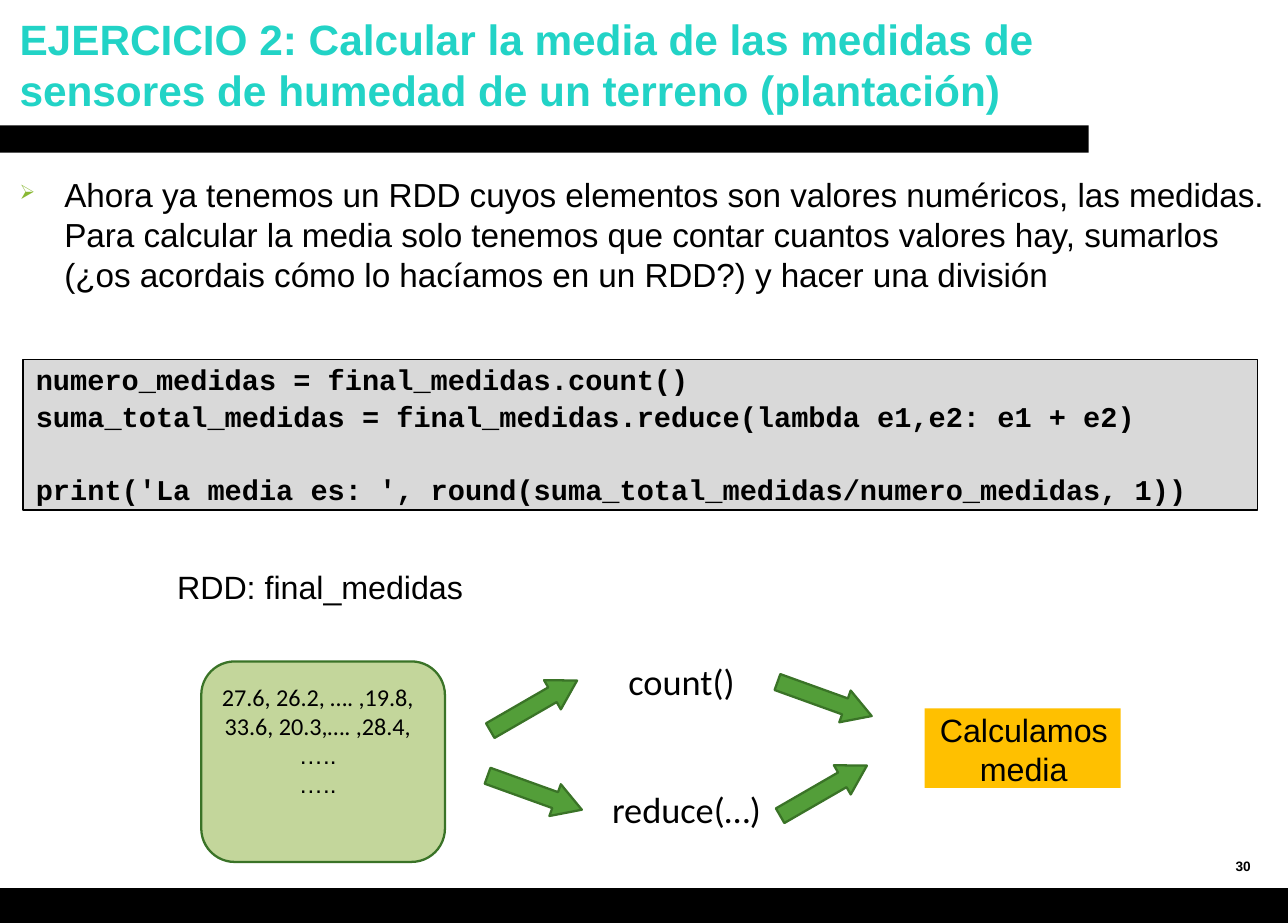
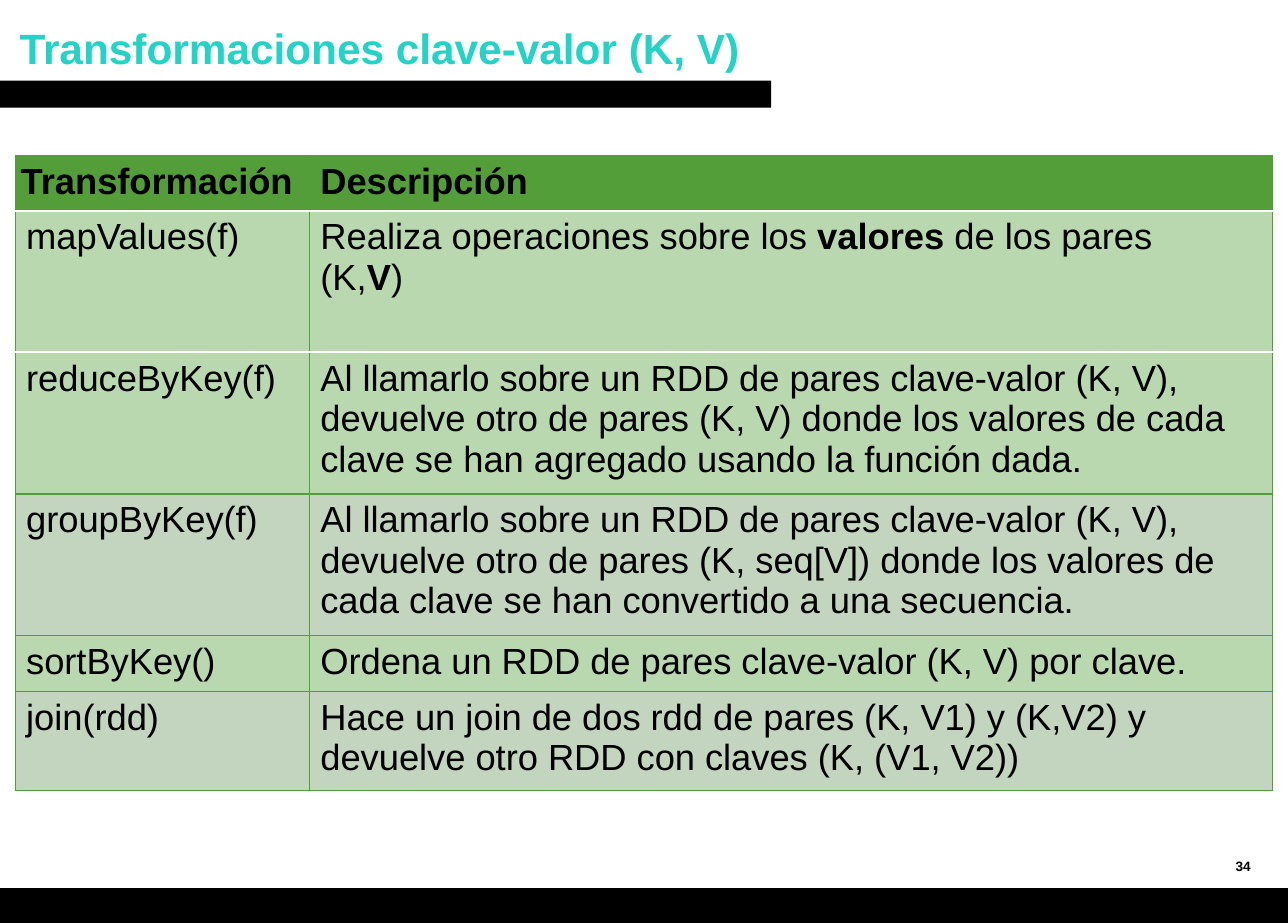
from lxml import etree
from pptx import Presentation
from pptx.dml.color import RGBColor
from pptx.enum import shapes, text
from pptx.oxml import ns
from pptx.util import Pt

WIDTH, HEIGHT = 851, 609.8
TIGHT = -0.04
COLORS = {
    "title": "22D3C6",
    "ink": "000000",
    "white": "FFFFFF",
    "code": "D9D9D9",
    "bullet": "89B833",
    "data": "C3D69B",
    "green": "539E39",
    "outline": "3A7327",
    "result": "FFC000",
    "row": "BAD8AF",
    "row_alt": "C3D5BE",
}
TRANSFORMATIONS = [
    ("Transformación", "Descripción"),
    ("mapValues(f)", [("Realiza operaciones sobre los ", False), ("valores", True),
                      (" de los pares (K,", False), ("V", True), (")", False)]),
    ("reduceByKey(f)", "Al llamarlo sobre un RDD de pares clave-valor (K, V), devuelve otro "
                       "de pares (K, V) donde los valores de cada clave se han agregado "
                       "usando la función dada."),
    ("groupByKey(f)", "Al llamarlo sobre un RDD de pares clave-valor (K, V), devuelve otro "
                      "de pares (K, seq[V]) donde los valores de cada clave se han "
                      "convertido a una secuencia."),
    ("sortByKey()", "Ordena un RDD de pares clave-valor (K, V) por clave."),
    ("join(rdd)", "Hace un join de dos rdd de pares (K, V1) y (K,V2) y devuelve otro RDD "
                  "con claves (K, (V1, V2))"),
]


def color(name):
    return RGBColor.from_string(COLORS[name])


def add_xml(parent, tag, **attributes):
    return etree.SubElement(parent, ns.qn(tag), attributes)


def write(para, content, size, font="Arial", ink="ink", bold=False, tracking=0,
          align=text.PP_ALIGN.LEFT, before=0):
    para.alignment = align
    para.line_spacing = 1.0
    if before:
        para.space_before = Pt(before)
    spans = [(content, bold)] if isinstance(content, str) else content
    for words, strong in spans:
        span = para.add_run()
        span.text = words
        span.font.name = font
        span.font.size = Pt(size)
        span.font.bold = strong
        span.font.color.rgb = color(ink)
        if tracking:
            span.font._element.set("spc", str(round(tracking * 100)))
    return para


def set_frame(frame, insets=(0, 0, 0, 0), anchor=text.MSO_ANCHOR.TOP):
    frame.word_wrap = True
    frame.vertical_anchor = anchor
    (frame.margin_left, frame.margin_top,
     frame.margin_right, frame.margin_bottom) = map(Pt, insets)
    return frame


def add_text(page, place, content, insets=(0, 1.4, 0, 0),
             anchor=text.MSO_ANCHOR.TOP, **style):
    box = page.shapes.add_textbox(*map(Pt, place))
    frame = set_frame(box.text_frame, insets, anchor)
    return write(frame.paragraphs[0], content, **style)


def add_block(page, place, fill, kind=shapes.MSO_SHAPE.RECTANGLE, line=None, weight=1):
    block = page.shapes.add_shape(kind, *map(Pt, place))
    block.shadow.inherit = False
    block.fill.solid()
    block.fill.fore_color.rgb = color(fill)
    if line:
        block.line.color.rgb = color(line)
        block.line.width = Pt(weight)
    else:
        block.line.fill.background()
    return block


def start_page(deck, title, number, title_top, band_top, band_width):
    page = deck.slides.add_slide(deck.slide_layouts[6])
    add_block(page, (0, 586.8, WIDTH, HEIGHT - 586.8), "ink")
    add_text(page, (5.8, title_top, 768, 48), title, insets=(7.2, 3.6, 7.2, 3.6),
             size=28, ink="title", bold=True)
    add_block(page, (0, band_top, band_width, 18), "ink")
    add_text(page, (809.3, 557.5, 33, 29), number, insets=(7.2, 3.6, 7.2, 3.6),
             anchor=text.MSO_ANCHOR.MIDDLE, size=9, bold=True)
    return page


def add_bullet(page, place, content):
    para = add_text(page, place, content, size=22, tracking=TIGHT)
    properties = para._p.get_or_add_pPr()
    properties.set("marL", str(Pt(31)))
    properties.set("indent", str(-Pt(29.5)))
    add_xml(add_xml(properties, "a:buClr"), "a:srgbClr", val=COLORS["bullet"])
    add_xml(properties, "a:buSzPct", val="60000")
    add_xml(properties, "a:buChar", char="➢")


def add_code(page, place, lines):
    block = add_block(page, place, "code", line="ink")
    frame = set_frame(block.text_frame, (8.6, 1.6, 0, 0))
    for index, (line, before) in enumerate(lines):
        para = frame.add_paragraph() if index else frame.paragraphs[0]
        write(para, line, size=18.9, font="Courier New", bold=True, tracking=TIGHT,
              before=before)


def add_arrow(page, left, top, angle):
    arrow = add_block(page, (left, top, 66.2, 22.3), "green",
                      shapes.MSO_SHAPE.RIGHT_ARROW, "outline", 1.5)
    arrow.adjustments[1] = 0.84
    arrow.rotation = angle


def add_flow(page, left, top):
    def at(x, y, width, height):
        return left + x, top + y, width, height

    center = text.PP_ALIGN.CENTER
    add_text(page, at(-22.5, -63.5, 202, 30), "RDD: final_medidas", size=21.3, align=center)
    data = add_block(page, at(0, 0, 161, 132.5), "data",
                     shapes.MSO_SHAPE.ROUNDED_RECTANGLE, "outline", 1.5)
    frame = set_frame(data.text_frame, (0, 7.4, 7, 0))
    values = [("27.6, 26.2, …. ,19.8,", "Calibri"), ("33.6, 20.3,…. ,28.4,", "Calibri"),
              ("…..", "Arial"), ("…..", "Arial")]
    for index, (line, font) in enumerate(values):
        para = frame.add_paragraph() if index else frame.paragraphs[0]
        write(para, line, size=16, font=font, align=center)

    up, down = 330, 19.8
    for x, y, angle in [(186.5, 18, up), (187.2, 75.6, down),
                        (378.7, 13.7, down), (378, 74.2, up)]:
        add_arrow(page, left + x, top + y, angle)
    for x, y, width, label in [(282.2, -2.8, 84, "count()"), (271.4, 81.4, 107, "reduce(…)")]:
        add_text(page, at(x, y, width, 30), label, size=24, font="Calibri")

    result = add_block(page, at(478, 31, 129.5, 52.6), "result")
    frame = set_frame(result.text_frame, (1.4, 1.4, 0, 0))
    write(frame.paragraphs[0], "Calculamos media", size=21.3, align=center)


def set_borders(cell, white_sides):
    properties = cell._tc.get_or_add_tcPr()
    for index, side in enumerate("LRTB"):
        white = side in white_sides
        line = etree.Element(ns.qn("a:ln" + side), w=str(Pt(1.5 if white else 1)))
        fill = add_xml(line, "a:solidFill")
        add_xml(fill, "a:srgbClr", val=COLORS["white" if white else "green"])
        properties.insert(index, line)


def add_transformations(page, left, top, rows):
    columns, heights = (194.4, 636.5), (36.7, 93.6, 93.6, 93.6, 36.7, 65.5)
    fills = ("green", "row", "row", "row_alt", "row", "row_alt")
    white_sides = ("B", "TB", "T", "", "", "")
    frame = page.shapes.add_table(len(rows), len(columns), Pt(left), Pt(top),
                                  Pt(sum(columns)), Pt(sum(heights)))
    table = frame.table
    table.first_row = table.horz_banding = False
    for column, width in zip(table.columns, columns):
        column.width = Pt(width)
    for index, (row, contents) in enumerate(zip(table.rows, rows)):
        row.height = Pt(heights[index])
        for place, (cell, content) in enumerate(zip(row.cells, contents)):
            header = index == 0
            cell.margin_left = Pt(3.6 if header and place == 0 else 7.2)
            cell.margin_top = Pt(4)
            cell.margin_right = Pt(24 if place else 0)
            cell.margin_bottom = Pt(0)
            cell.fill.solid()
            cell.fill.fore_color.rgb = color(fills[index])
            set_borders(cell, white_sides[index])
            write(cell.text_frame.paragraphs[0], content, size=24, bold=header,
                  tracking=TIGHT if header or index > 1 else 0)


def build_exercise(deck):
    page = start_page(deck, "EJERCICIO 2: Calcular la media de las medidas de sensores de "
                      "humedad de un terreno (plantación)", "30", 5, 82.8, 719.3)
    add_bullet(page, (11.5, 113.8, 830, 81.4),
               "Ahora ya tenemos un RDD cuyos elementos son valores numéricos, las medidas. "
               "Para calcular la media solo tenemos que contar cuantos valores hay, sumarlos "
               "(¿os acordais cómo lo hacíamos en un RDD?) y hacer una división")
    add_code(page, (15.1, 237.6, 815.8, 99.4), [
        ("numero_medidas = final_medidas.count()", 0),
        ("suma_total_medidas = final_medidas.reduce(lambda e1,e2: e1 + e2)", 1.9),
        ("print('La media es: ', round(suma_total_medidas/numero_medidas, 1))", 25.5),
    ])
    add_flow(page, 133, 437)


def build_transformations(deck):
    page = start_page(deck, "Transformaciones clave-valor (K, V)", "34", 10.8, 53.2, 509.5)
    add_transformations(page, 10.1, 102.5, TRANSFORMATIONS)


def main():
    deck = Presentation()
    deck.slide_width, deck.slide_height = Pt(WIDTH), Pt(HEIGHT)
    build_exercise(deck)
    build_transformations(deck)
    deck.save("out.pptx")


if __name__ == "__main__":
    main()
